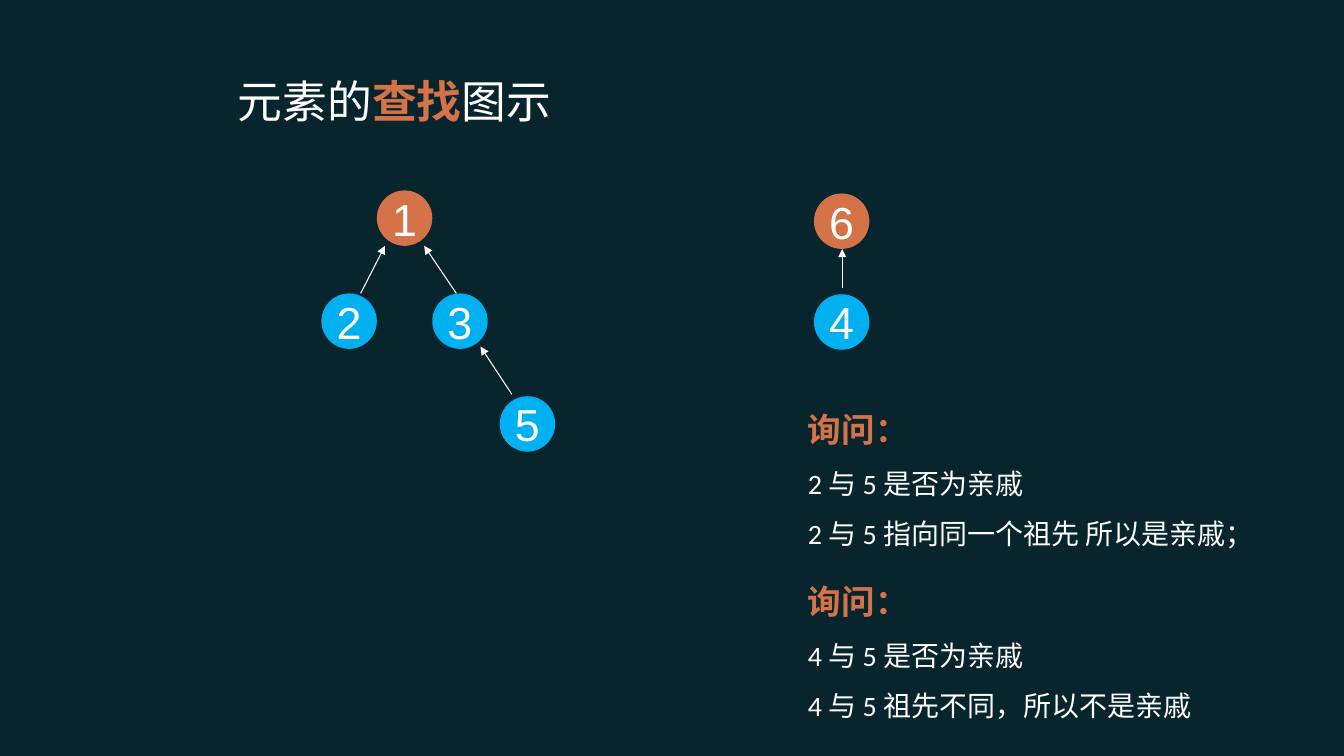
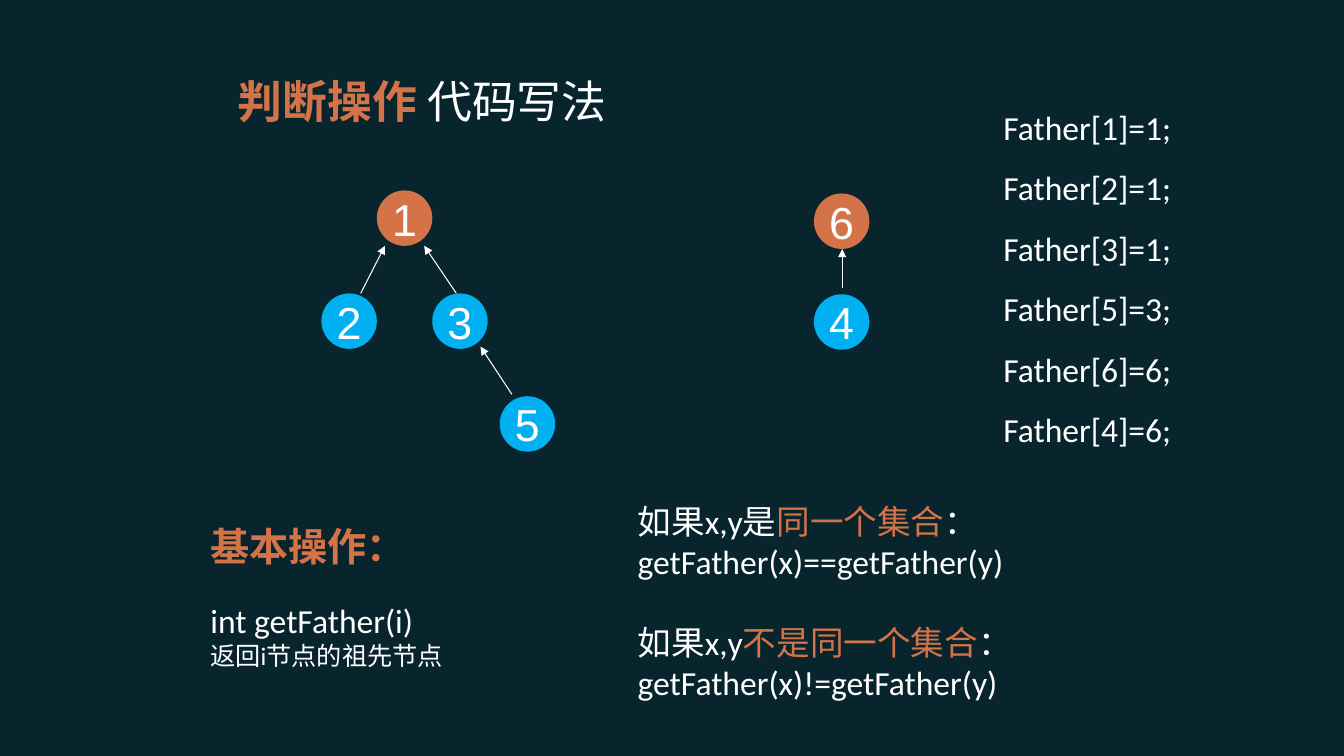
from pptx import Presentation
from pptx.dml.color import RGBColor
from pptx.enum.shapes import MSO_CONNECTOR as Conn, MSO_SHAPE as Shape
from pptx.enum.text import MSO_ANCHOR as Anchor, PP_ALIGN as Align
from pptx.oxml.ns import qn
from pptx.util import Inches, Pt
from lxml.etree import SubElement

# Shared look
BACK, WHITE, ORANGE, BLUE = "08252D", "FFFFFF", "D47348", "00B0F0"
LATIN, CJK, DIGIT = "Calibri", "Noto Sans CJK SC", "Arial"

# Grid: 48 columns by 27 rows
WIDTH, HEIGHT = Inches(13.34), Inches(7.5)
COLS, ROWS = 48, 27
NODE = 1.98

# Forest: label, column, row, colour
NODES = [
    ("1", 13.46, 6.80, ORANGE),
    ("2", 11.48, 10.48, BLUE),
    ("3", 15.44, 10.48, BLUE),
    ("5", 17.85, 14.15, BLUE),
    ("6", 29.07, 6.91, ORANGE),
    ("4", 29.07, 10.51, BLUE),
]
# Links from child to parent: start column and row, end column and row
LINKS = [
    (12.88, 10.48, 13.75, 8.78),
    (16.30, 10.48, 15.15, 8.78),
    (18.28, 14.08, 17.16, 12.38),
    (30.08, 10.30, 30.08, 8.89),
]


def rgb(color):
    return RGBColor.from_string(color)


def grid(*cells):
    """Turn alternating columns and rows into lengths."""
    units = (WIDTH / COLS, HEIGHT / ROWS)
    return [round(c * units[i % 2]) for i, c in enumerate(cells)]


def add_run(p, text, size, color=WHITE, bold=False, font=LATIN):
    r = p.add_run()
    r.text = text
    f = r.font
    f.size, f.bold, f.name = Pt(size), bold, font
    f.color.rgb = rgb(color)
    SubElement(r._r.get_or_add_rPr(), qn("a:ea"), typeface=CJK)


def add_title(prs, runs):
    """Add a slide with its title; runs are (text, is key word)."""
    s = prs.slides.add_slide(prs.slide_layouts[5])
    sp = s.shapes.title
    sp.left, sp.top, sp.width, sp.height = grid(8.13, 2.16, 28.61, 2.84)
    sp.text_frame.vertical_anchor = Anchor.MIDDLE
    p = sp.text_frame.paragraphs[0]
    p.alignment = Align.LEFT
    for text, key in runs:
        add_run(p, text, 32, ORANGE if key else WHITE, key)
    return s


def add_node(s, label, col, row, color):
    sp = s.shapes.add_shape(Shape.OVAL, *grid(col, row, NODE, NODE))
    sp.shadow.inherit = False
    sp.fill.solid()
    sp.fill.fore_color.rgb = rgb(color)
    sp.line.fill.background()
    tf = sp.text_frame
    tf.word_wrap = False
    tf.vertical_anchor = Anchor.MIDDLE
    p = tf.paragraphs[0]
    p.alignment = Align.CENTER
    p.space_before = Pt(8)
    add_run(p, label, 32, font=DIGIT)


def add_arrow(s, *ends):
    line = s.shapes.add_connector(Conn.STRAIGHT, *grid(*ends))
    line.line.color.rgb = rgb(WHITE)
    line.line.width = Pt(0.75)
    SubElement(line.line._get_or_add_ln(), qn("a:tailEnd"), type="triangle")
    SubElement(line._element.spPr, qn("a:effectLst"))


def add_forest(s):
    for link in LINKS:
        add_arrow(s, *link)
    for node in NODES:
        add_node(s, *node)


def add_text(s, box, paragraphs):
    """Paragraphs are (runs, space before, line spacing)."""
    tf = s.shapes.add_textbox(*grid(*box)).text_frame
    tf.word_wrap = True
    for i, (runs, before, spacing) in enumerate(paragraphs):
        p = tf.add_paragraph() if i else tf.paragraphs[0]
        p.space_before, p.line_spacing = Pt(before), spacing
        for run in runs:
            add_run(p, *run)


def heading(text, size, before=0):
    return [(text, size, ORANGE, True, CJK)], before, 1.0


def body(text, size, before=0, spacing=1.0):
    return [(text, size)], before, spacing


def condition(start, key, before=0):
    return [(start, 24), (key, 24, ORANGE), ("：", 24)], before, 1.0


def find_slide(prs):
    s = add_title(prs, [("元素的", False), ("查找", True), ("图示", False)])
    add_forest(s)
    # Two questions with their answers
    questions = [
        ("2 与 5 是否为亲戚", "2 与 5 指向同一个祖先 所以是亲戚；"),
        ("4 与 5 是否为亲戚", "4 与 5 祖先不同，所以不是亲戚"),
    ]
    paragraphs = []
    for i, lines in enumerate(questions):
        paragraphs.append(heading("询问：", 24, before=22 * i))
        paragraphs += [body(line, 20, spacing=1.5) for line in lines]
    add_text(s, (28.5, 14.44, 17.78, 13.32), paragraphs)


def code_slide(prs):
    s = add_title(prs, [("判断操作 ", True), ("代码写法", False)])
    add_forest(s)
    # Basic operation
    add_text(s, (7.16, 18.47, 9.25, 6.73), [
        heading("基本操作：", 28),
        body("int getFather(i)", 24, before=22),
        body("返回i节点的祖先节点", 18),
    ])
    # Tests for same and different sets
    add_text(s, (22.42, 17.71, 14.72, 7.56), [
        condition("如果x,y是", "同一个集合"),
        body("getFather(x)==getFather(y)", 24),
        condition("如果x,y", "不是同一个集合", before=29),
        body("getFather(x)!=getFather(y)", 24),
    ])
    # Parent of each node
    parents = {1: 1, 2: 1, 3: 1, 5: 3, 6: 6, 4: 6}
    add_text(s, (35.48, 2.92, 8.06, 13.32), [
        body(f"Father[{node}]={parent};", 24, spacing=1.5)
        for node, parent in parents.items()
    ])


def main():
    prs = Presentation()
    prs.slide_width, prs.slide_height = WIDTH, HEIGHT
    fill = prs.slide_master.background.fill
    fill.solid()
    fill.fore_color.rgb = rgb(BACK)
    find_slide(prs)
    code_slide(prs)
    prs.save("out.pptx")


if __name__ == "__main__":
    main()
